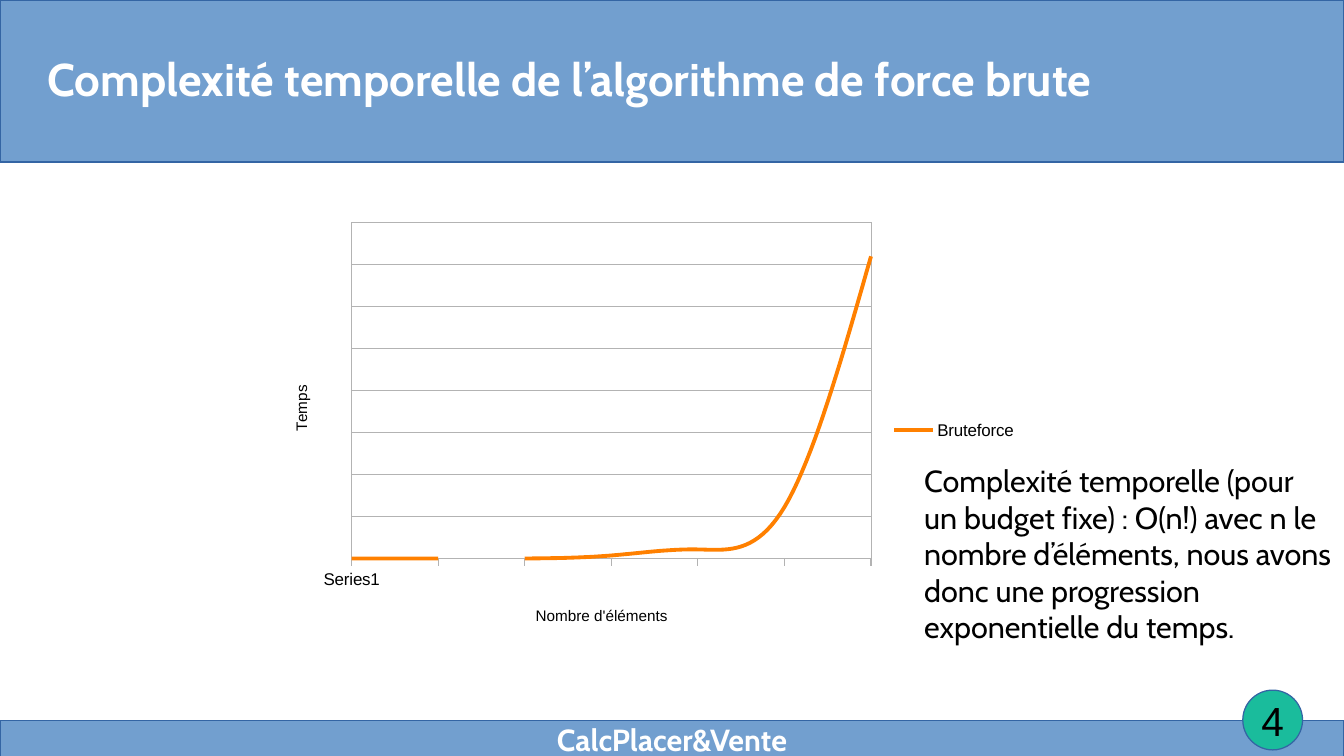
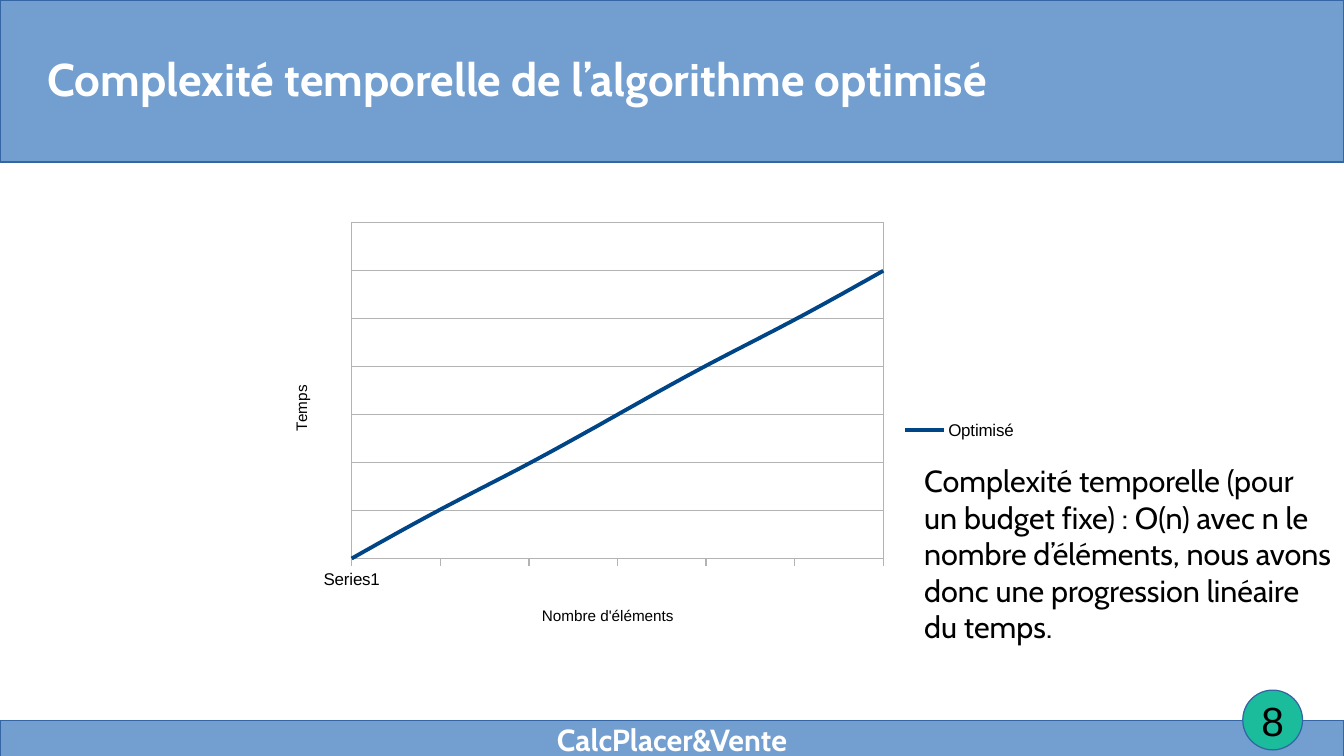
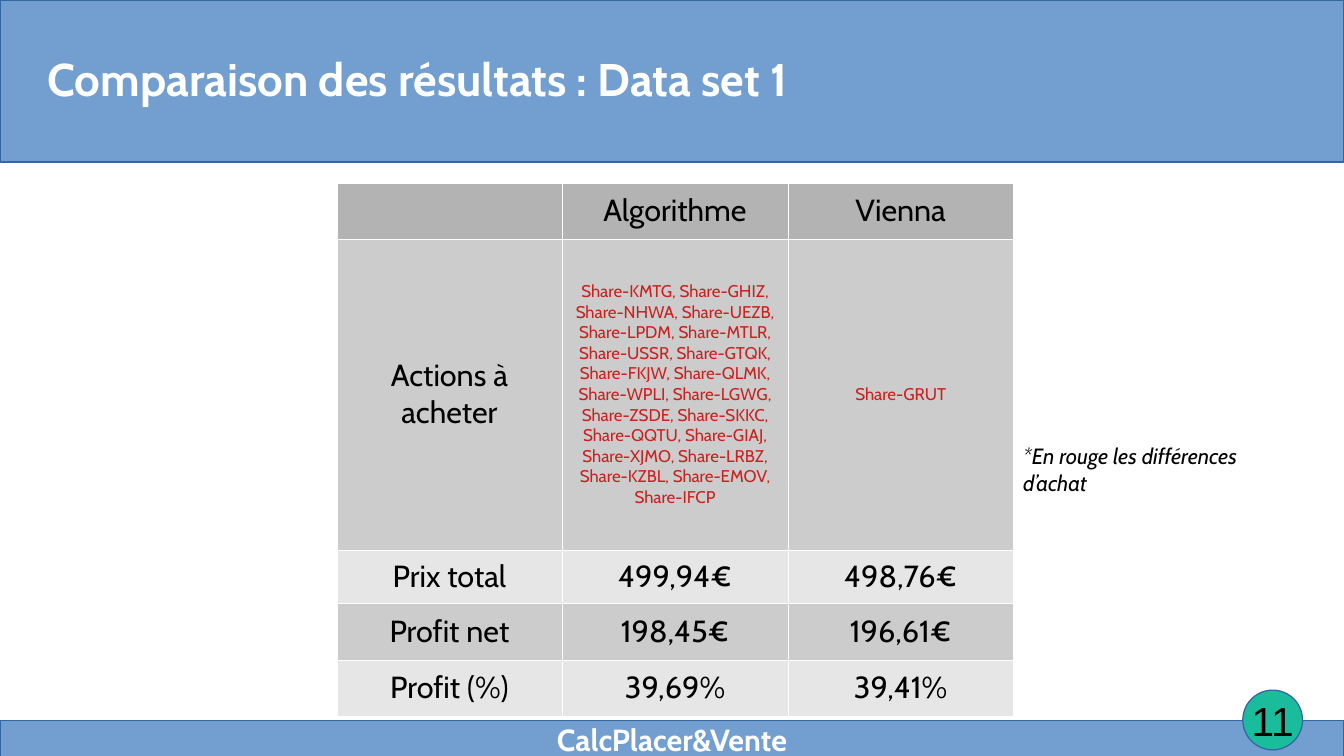
import pptx
import pptx.chart.data
import pptx.dml.color
import pptx.enum.chart
import pptx.enum.shapes
import pptx.enum.text
import pptx.oxml
import pptx.oxml.ns
import pptx.util

Inches = pptx.util.Inches
Pt = pptx.util.Pt
RGBColor = pptx.dml.color.RGBColor
Align = pptx.enum.text.PP_ALIGN
Anchor = pptx.enum.text.MSO_ANCHOR
Geometry = pptx.enum.shapes.MSO_SHAPE
Chart = pptx.enum.chart

BLUE = RGBColor(0x72, 0x9F, 0xCF)
OUTLINE = RGBColor(0x34, 0x65, 0xA4)
GREEN = RGBColor(0x1A, 0xBC, 0x9C)
WHITE = RGBColor(0xFF, 0xFF, 0xFF)
BLACK = RGBColor(0, 0, 0)
RED = RGBColor(0xC9, 0x21, 0x1E)
ORANGE = RGBColor(0xFF, 0x80, 0x00)
NAVY = RGBColor(0x00, 0x45, 0x86)
GRID = RGBColor(0xB3, 0xB3, 0xB3)
MEDIUM_GREY = RGBColor(0xCC, 0xCC, 0xCC)
LIGHT_GREY = RGBColor(0xE6, 0xE6, 0xE6)

WIDTH, HEIGHT = 11.02, 6.2
TITLE_FONT = {"name": "Cabin", "size": Pt(27), "bold": True, "color": WHITE}
FOOTER_FONT = {**TITLE_FONT, "size": Pt(18)}
BODY_FONT = {"name": "Cabin", "size": Pt(18), "color": BLACK}
NOTE_FONT = {**BODY_FONT, "size": Pt(13), "italic": True}
SHARE_FONT = {**BODY_FONT, "size": Pt(10), "color": RED}
NUMBER_FONT = {"name": "Arial", "size": Pt(24), "color": BLACK}
CHART_FONT = {"name": "Arial", "size": Pt(10), "bold": False, "color": BLACK}
AXIS_FONT = {**CHART_FONT, "size": Pt(9)}

FOOTER = "CalcPlacer&Vente"
BANDS = [
    (Geometry.RECTANGLE, (0, 5.91, WIDTH, 0.3), BLUE),
    (Geometry.RECTANGLE, (0, 0, WIDTH, 1.33), BLUE),
    (Geometry.OVAL, (10.19, 5.66, 0.49, 0.49), GREEN),
]
CATEGORIES = ["Series1"] + [""] * 6
CHART_SLIDES = [
    {
        "number": 4,
        "title": "Complexité temporelle de l’algorithme de force brute",
        "series": "Bruteforce",
        "values": (0, 0, 0, 1, 3, 17, 100),
        "color": ORANGE,
        "step": 13.89,
        "steps": 8,
        "plot_width": 0.676,
        "text": "Complexité temporelle (pour un budget fixe) : O(n!) avec n le nombre "
                "d’éléments, nous avons donc une progression exponentielle du temps.",
    },
    {
        "number": 8,
        "title": "Complexité temporelle de l’algorithme optimisé",
        "series": "Optimisé",
        "values": (0, 17, 33, 50, 67, 83, 100),
        "color": NAVY,
        "step": 16.67,
        "steps": 7,
        "plot_width": 0.692,
        "text": "Complexité temporelle (pour un budget fixe) : O(n) avec n le nombre "
                "d’éléments, nous avons donc une progression linéaire du temps.",
    },
]
SHARES = (
    "KMTG GHIZ NHWA UEZB LPDM MTLR USSR GTQK FKJW QLMK WPLI "
    "LGWG ZSDE SKKC QQTU GIAJ XJMO LRBZ KZBL EMOV IFCP"
).split()
TABLE_ROWS = [
    (0.46, GRID, ("", "Algorithme", "Vienna")),
    (2.55, MEDIUM_GREY, ("Actions à acheter", ", ".join(f"Share-{code}" for code in SHARES), "Share-GRUT")),
    (0.44, LIGHT_GREY, ("Prix total", "499,94€", "498,76€")),
    (0.46, MEDIUM_GREY, ("Profit net", "198,45€", "196,61€")),
    (0.46, LIGHT_GREY, ("Profit (%)", "39,69%", "39,41%")),
]


def box(*lengths):
    return [Inches(length) for length in lengths]


def apply(target, **values):
    for name, value in values.items():
        setattr(target, name, value)


def set_font(font, values):
    for name, value in values.items():
        if name == "color":
            font.color.rgb = value
        else:
            setattr(font, name, value)


def set_line(line, color, width=0):
    line.color.rgb = color
    line.width = Pt(width)


def write(frame, text, font, align=Align.LEFT, anchor=Anchor.TOP, insets=(0.1, 0.05)):
    across, down = box(*insets)
    apply(frame, word_wrap=True, vertical_anchor=anchor, margin_left=across,
          margin_right=across, margin_top=down, margin_bottom=down)
    paragraph = frame.paragraphs[0]
    paragraph.alignment = align
    run = paragraph.add_run()
    run.text = text
    set_font(run.font, font)


def add_text(slide, place, *content, **layout):
    shape = slide.shapes.add_textbox(*box(*place))
    write(shape.text_frame, *content, **layout)
    return shape


def move_bands_to_layout(slide, layout):
    parts = []
    for geometry, place, color in BANDS:
        shape = slide.shapes.add_shape(geometry, *box(*place))
        shape.shadow.inherit = False
        shape.fill.solid()
        shape.fill.fore_color.rgb = color
        set_line(shape.line, OUTLINE)
        parts.append(shape)
    parts.append(add_text(slide, (3.74, 5.91, 3.54, 0.3), FOOTER, FOOTER_FONT,
                          align=Align.CENTER, insets=(0, 0)))
    for index, shape in enumerate(parts):
        shape.element.xpath(".//p:cNvPr")[0].set("id", str(100 + index))
        layout.shapes.element.insert(2 + index, shape.element)


def add_slide(presentation, layout, title, number):
    slide = presentation.slides.add_slide(layout)
    placeholder = slide.shapes.title
    left, top, width, height = box(0.39, 0.25, 10.24, 0.79)
    apply(placeholder, left=left, top=top, width=width, height=height)
    placeholder.text_frame.auto_size = pptx.enum.text.MSO_AUTO_SIZE.NONE
    write(placeholder.text_frame, title, TITLE_FONT, anchor=Anchor.MIDDLE, insets=(0, 0))
    add_text(slide, (10.04, 5.61, 0.79, 0.59), str(number), NUMBER_FONT,
             align=Align.CENTER, anchor=Anchor.MIDDLE)
    return slide


def chart_xml(body):
    return pptx.oxml.parse_xml(body.replace(">", f" {pptx.oxml.ns.nsdecls('c', 'a')}>", 1))


def place_part(element, index, **fractions):
    for old in element.xpath("c:layout"):
        element.remove(old)
    modes = '<c:xMode val="edge"/><c:yMode val="edge"/>'
    inner = '<c:layoutTarget val="inner"/>' if "w" in fractions else ""
    sizes = "".join(f'<c:{name} val="{value:.3f}"/>' for name, value in fractions.items())
    layout = chart_xml(f"<c:layout><c:manualLayout>{inner}{modes}{sizes}</c:manualLayout></c:layout>")
    element.insert(index, layout)


def add_axis_title(axis, text):
    axis.has_title = True
    run = axis.axis_title.text_frame.paragraphs[0].add_run()
    run.text = text
    set_font(run.font, AXIS_FONT)


def add_line_chart(slide, content):
    data = pptx.chart.data.CategoryChartData()
    data.categories = CATEGORIES
    data.add_series(content["series"], content["values"])
    chart = slide.shapes.add_chart(Chart.XL_CHART_TYPE.LINE, *box(2.14, 1.76, 6.3, 3.54), data).chart
    chart.has_title = False
    set_font(chart.font, CHART_FONT)
    chart.has_legend = True
    apply(chart.legend, position=Chart.XL_LEGEND_POSITION.RIGHT, include_in_layout=False)
    set_font(chart.legend.font, CHART_FONT)
    chart.plots[0].vary_by_categories = False
    series = chart.plots[0].series[0]
    series.smooth = True
    series.marker.style = Chart.XL_MARKER_STYLE.NONE
    set_line(series.format.line, content["color"], 2.27)

    category_axis, value_axis = chart.category_axis, chart.value_axis
    add_axis_title(category_axis, "Nombre d'éléments")
    add_axis_title(value_axis, "Temps")
    category_axis.major_tick_mark = Chart.XL_TICK_MARK.OUTSIDE
    set_font(category_axis.tick_labels.font, CHART_FONT)
    set_line(category_axis.format.line, GRID)
    apply(value_axis, visible=False, has_major_gridlines=True, minimum_scale=0,
          maximum_scale=round(content["step"] * content["steps"], 2), major_unit=content["step"])
    set_line(value_axis.major_gridlines.format.line, GRID)

    plot_area = chart.element.xpath(".//c:plotArea")[0]
    value_element = plot_area.xpath("c:valAx")[0]
    for old in value_element.xpath("c:crossBetween"):
        value_element.remove(old)
    value_element.xpath("c:crosses")[0].addnext(chart_xml('<c:crossBetween val="midCat"></c:crossBetween>'))
    plot_area.append(chart_xml(
        f'<c:spPr><a:noFill/><a:ln w="0"><a:solidFill><a:srgbClr val="{GRID}"/>'
        "</a:solidFill></a:ln></c:spPr>"))
    width = content["plot_width"]
    place_part(plot_area, 0, x=0.118, y=0.019, w=width, h=0.778)
    place_part(category_axis.axis_title.element, 1, x=0.016 + width / 2, y=0.9)
    place_part(value_axis.axis_title.element, 1, x=0.036, y=0.389)
    turned = value_axis.axis_title.element.xpath(".//a:bodyPr")[0]
    turned.set("rot", "-5400000")
    turned.set("vert", "horz")


def set_borders(cell_element):
    properties = cell_element.get_or_add_tcPr()
    for index, side in enumerate("LRTB"):
        properties.insert(index, pptx.oxml.parse_xml(
            f'<a:ln{side} {pptx.oxml.ns.nsdecls("a")} w="720"><a:solidFill>'
            f'<a:srgbClr val="{WHITE}"/></a:solidFill></a:ln{side}>'))


def add_results_table(slide):
    table = slide.shapes.add_table(len(TABLE_ROWS), 3, *box(2.76, 1.5, 5.54, 4.38)).table
    for column in table.columns:
        column.width = Inches(1.85)
    for row_index, (height, color, texts) in enumerate(TABLE_ROWS):
        table.rows[row_index].height = Inches(height)
        for column_index, text in enumerate(texts):
            cell = table.cell(row_index, column_index)
            across, down = box(0.1, 0.05)
            apply(cell, vertical_anchor=Anchor.MIDDLE, margin_left=across,
                  margin_right=across, margin_top=down, margin_bottom=down)
            cell.fill.solid()
            cell.fill.fore_color.rgb = color
            set_borders(cell.fill and cell.text_frame.paragraphs[0]._p.xpath("ancestor::a:tc")[0])
            paragraph = cell.text_frame.paragraphs[0]
            paragraph.alignment = Align.CENTER
            if text:
                run = paragraph.add_run()
                run.text = text
                set_font(run.font, SHARE_FONT if text.startswith("Share-") else BODY_FONT)


def main():
    presentation = pptx.Presentation()
    presentation.slide_width, presentation.slide_height = box(WIDTH, HEIGHT)
    layout = presentation.slide_layouts[5]
    for content in CHART_SLIDES:
        slide = add_slide(presentation, layout, content["title"], content["number"])
        add_line_chart(slide, content)
        add_text(slide, (7.48, 3.74, 3.54, 2.48), content["text"], BODY_FONT)
    slide = add_slide(presentation, layout, "Comparaison des résultats : Data set 1", 11)
    add_results_table(slide)
    add_text(slide, (8.29, 3.58, 2.36, 0.59), "*En rouge les différences d’achat", NOTE_FONT)
    move_bands_to_layout(slide, layout)
    presentation.save("out.pptx")


if __name__ == "__main__":
    main()
